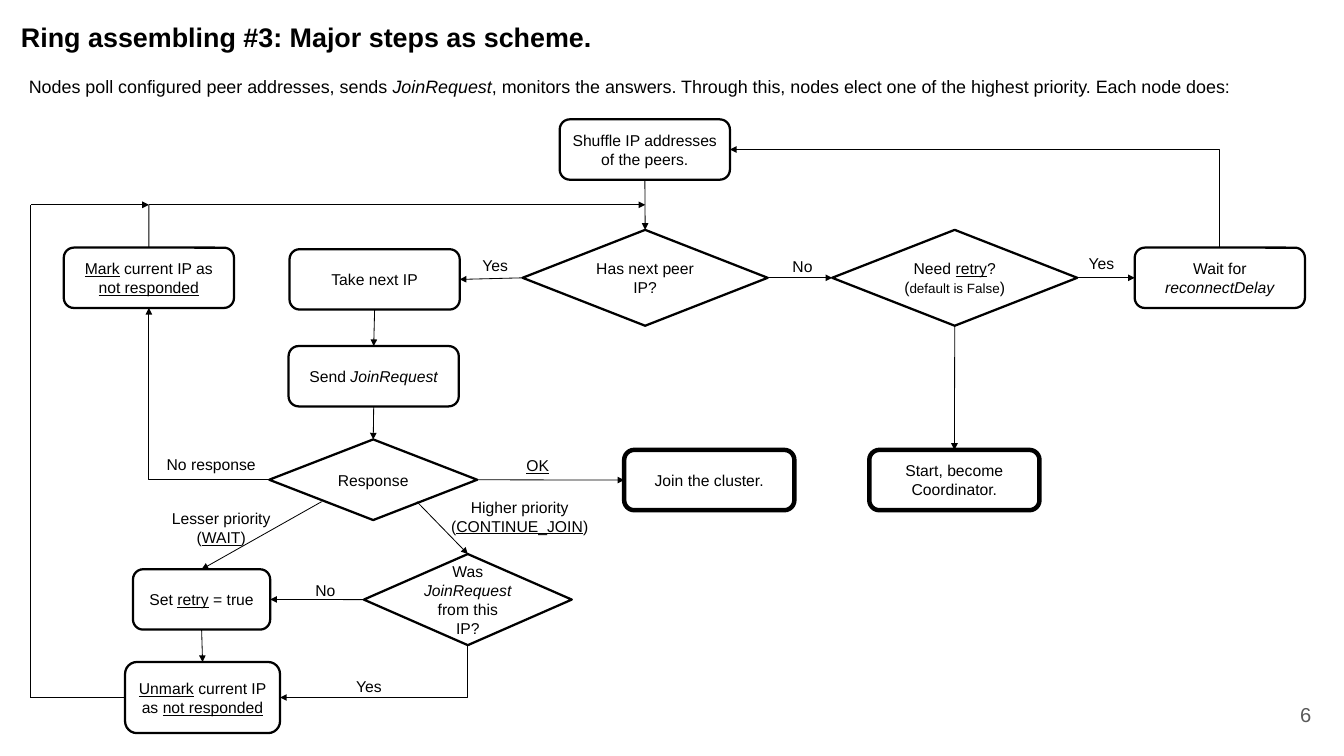
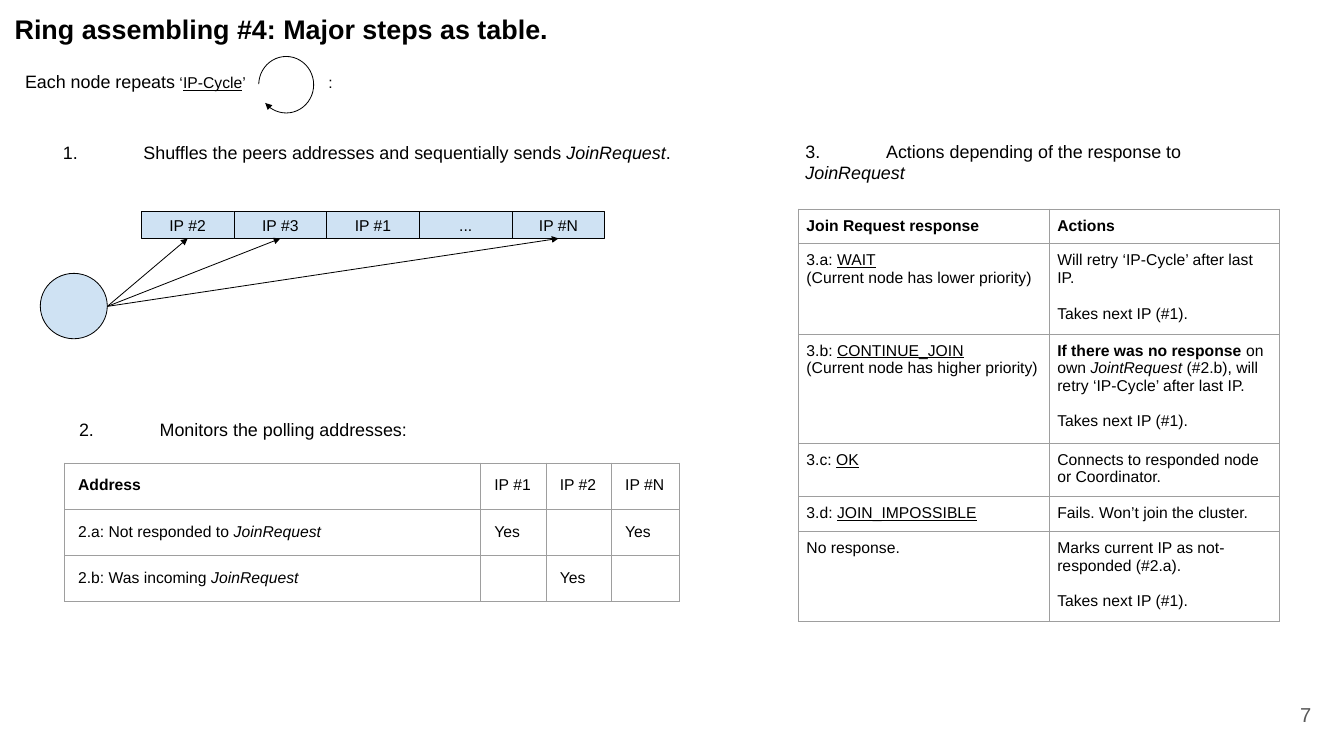
"""Build two slides that explain how the ring is assembled."""
from dataclasses import dataclass
from typing import Iterator, Optional, Union

from pptx import Presentation
from pptx.dml.color import RGBColor
from pptx.enum.shapes import MSO_CONNECTOR as Wire, MSO_SHAPE as Form
from pptx.enum.text import MSO_ANCHOR as Anchor, PP_ALIGN as Align
from pptx.oxml import parse_xml
from pptx.oxml.ns import nsdecls, qn
from pptx.oxml.xmlchemy import OxmlElement
from pptx.util import Cm, Pt

FONT, BLACK, GREY, BORDER, PALE = "Arial", "000000", "595959", "9E9E9E", "CFE2F3"
TOP, LEFT, BOTTOM, RIGHT = range(4)
THIN = 0.75
MARKS = {"*": "italic", "~": "underline", "^": "bold", "`": "small"}
End = Union[tuple[str, int], tuple[float, float]]


@dataclass
class Step:
    name: str
    text: str
    left: float
    top: float
    width: float = 5.36
    height: float = 1.9
    form: Form = Form.ROUNDED_RECTANGLE
    weight: float = 2
    fill: Optional[str] = None


@dataclass
class Label:
    text: str
    left: float
    top: float
    width: float = 1.65
    height: float = 0.86
    align: Align = Align.LEFT


@dataclass
class Link:
    begin: End
    end: End
    arrow: str = "tailEnd"
    bent: bool = False


@dataclass
class Grid:
    left: float
    top: float
    widths: list[float]
    heights: list[float]
    inset: float
    rows: list[list[str]]


def color(code: str) -> RGBColor:
    return RGBColor.from_string(code)


def split_spans(line: str) -> Iterator[tuple[str, set[str]]]:
    active: set[str] = set()
    text = ""
    for char in line:
        if char in MARKS:
            if text:
                yield text, set(active)
            text = ""
            active ^= {MARKS[char]}
        else:
            text += char
    if text:
        yield text, active


def set_tab(para, position: float) -> None:
    stops = OxmlElement("a:tabLst")
    stop = OxmlElement("a:tab")
    stop.set("pos", str(Cm(position)))
    stop.set("algn", "l")
    stops.append(stop)
    para._p.get_or_add_pPr().append(stops)


def write(frame, markup: str, size: float = 14, small: float = 12, ink: str = BLACK,
          align: Align = Align.LEFT, bold: bool = False, tab: float = 0) -> None:
    para = None
    for block in markup.split("\n\n"):
        for index, line in enumerate(block.split("\n")):
            spaced = para is not None and index == 0
            para = frame.paragraphs[0] if para is None else frame.add_paragraph()
            para.alignment = align
            if spaced:
                para.space_before = Pt(16)
            if tab:
                set_tab(para, tab)
            for text, marks in split_spans(line):
                span = para.add_run()
                span.text = text
                font = span.font
                font.name, font.color.rgb = FONT, color(ink)
                font.size = Pt(small if "small" in marks else size)
                font.bold = bold or "bold" in marks
                font.italic = "italic" in marks
                font.underline = "underline" in marks


def set_frame(frame, inset: Optional[float] = None, anchor: Anchor = Anchor.TOP) -> None:
    frame.word_wrap = True
    frame.vertical_anchor = anchor
    across, down = (0.25, 0.13) if inset is None else (inset, inset)
    frame.margin_left = frame.margin_right = Cm(across)
    frame.margin_top = frame.margin_bottom = Cm(down)


def add_text(page, markup: str, left: float, top: float, width: float, height: float,
             inset: Optional[float] = None, anchor: Anchor = Anchor.TOP, **style) -> None:
    box = page.shapes.add_textbox(Cm(left), Cm(top), Cm(width), Cm(height))
    set_frame(box.text_frame, inset, anchor)
    write(box.text_frame, markup, **style)


def add_page(deck, title: str, number: str, left: float, top: float, width: float):
    page = deck.slides.add_slide(deck.slide_layouts[5])
    box = page.shapes.title
    box.left, box.top, box.width, box.height = Cm(left), Cm(top), Cm(width), Cm(1.83)
    set_frame(box.text_frame, 0.46)
    write(box.text_frame, title, size=24, bold=True)
    add_text(page, number, 39.22, 21.59, 2.54, 1.83, inset=0.46, anchor=Anchor.MIDDLE,
             size=18, ink=GREY, align=Align.RIGHT)
    return page


def set_line(line, weight: float, arrow: str = "") -> None:
    line.color.rgb = color(BLACK)
    line.width = Pt(weight)
    if arrow:
        tip = OxmlElement(f"a:{arrow}")
        tip.set("type", "triangle")
        line._get_or_add_ln().append(tip)


def add_step(page, step: Step, arrow: str = ""):
    shape = page.shapes.add_shape(step.form, Cm(step.left), Cm(step.top),
                                  Cm(step.width), Cm(step.height))
    shape.shadow.inherit = False
    if step.fill:
        shape.fill.solid()
        shape.fill.fore_color.rgb = color(step.fill)
    else:
        shape.fill.background()
    set_line(shape.line, step.weight, arrow)
    set_frame(shape.text_frame, anchor=Anchor.MIDDLE)
    write(shape.text_frame, step.text, align=Align.CENTER)
    return shape


def add_link(page, link: Link, shapes: dict) -> None:
    points = [(0, 0) if isinstance(end[0], str) else end for end in (link.begin, link.end)]
    wire = page.shapes.add_connector(Wire.ELBOW if link.bent else Wire.STRAIGHT,
                                     *(Cm(value) for point in points for value in point))
    for end, connect in ((link.begin, wire.begin_connect), (link.end, wire.end_connect)):
        if isinstance(end[0], str):
            connect(shapes[end[0]], end[1])
    properties = wire._element.spPr
    if link.bent:
        properties.find(qn("a:prstGeom")).set("prst", "bentConnector2")
    set_line(wire.line, THIN, link.arrow)
    properties.append(OxmlElement("a:effectLst"))


def add_diagram(page, steps: list[Step], links: list[Link]) -> None:
    shapes = {step.name: add_step(page, step) for step in steps}
    for link in links:
        add_link(page, link, shapes)


def set_borders(cell) -> None:
    properties = cell._tc.get_or_add_tcPr()
    for index, side in enumerate(("lnL", "lnR", "lnT", "lnB")):
        properties.insert(index, parse_xml(
            f'<a:{side} {nsdecls("a")} w="{Pt(THIN)}"><a:solidFill>'
            f'<a:srgbClr val="{BORDER}"/></a:solidFill></a:{side}>'))


def add_grid(page, grid: Grid) -> None:
    table = page.shapes.add_table(
        len(grid.heights), len(grid.widths), Cm(grid.left), Cm(grid.top),
        Cm(sum(grid.widths)), Cm(sum(grid.heights))).table
    table.first_row = table.horz_banding = False
    for column, width in zip(table.columns, grid.widths):
        column.width = Cm(width)
    for row, height, texts in zip(table.rows, grid.heights, grid.rows):
        row.height = Cm(height)
        for cell, text in zip(row.cells, texts):
            cell.fill.background()
            set_borders(cell)
            if text:
                cell.margin_left = cell.margin_right = Cm(grid.inset)
                cell.margin_top = cell.margin_bottom = Cm(grid.inset)
                write(cell.text_frame, text)


def build_scheme(deck) -> None:
    page = add_page(deck, "Ring assembling #3: Major steps as scheme.", "6", 0.2, 0.18, 39.45)
    add_text(page, "Nodes poll configured peer addresses, sends *JoinRequest*, monitors the answers. "
             "Through this, nodes elect one of the highest priority. Each node does:",
             0.66, 2.24, 39.52, 0.94, size=16)
    steps = [
        Step("shuffle", "Shuffle IP addresses of the peers.", 17.63, 3.76),
        Step("has next", "Has next peer IP?", 16.46, 7.24, 7.72, 3.02, Form.DIAMOND),
        Step("need retry", "Need ~retry~?\n(`default is False`)", 26.21, 7.24, 7.72, 3.02, Form.DIAMOND),
        Step("wait", "Wait for *reconnectDelay*", 35.74, 7.8),
        Step("mark", "~Mark~ current IP as ~not responded~", 2.01, 7.8),
        Step("take", "Take next IP", 9.12, 7.85),
        Step("send", "Send *JoinRequest*", 9.09, 10.9),
        Step("response", "Response", 8.48, 13.84, 6.55, 2.54, Form.DIAMOND),
        Step("join", "Join the cluster.", 19.66, 14.17, weight=4),
        Step("start", "Start, become Coordinator.", 27.38, 14.17, weight=4),
        Step("set retry", "Set ~retry~ = true", 4.19, 17.93, 4.32),
        Step("was request", "Was *JoinRequest* from this IP?", 11.46, 17.45, 6.55, 2.87, Form.DIAMOND),
        Step("unmark", "~Unmark~ current IP as ~not responded~", 3.94, 20.85, 4.88, 2.24),
    ]
    merge, corner = (4.69, 6.45), (0.97, 21.97)
    links = [
        Link(("shuffle", BOTTOM), ("has next", TOP)),
        Link(("has next", LEFT), ("take", RIGHT)),
        Link(("has next", RIGHT), ("need retry", LEFT)),
        Link(("need retry", RIGHT), ("wait", LEFT)),
        Link(("need retry", BOTTOM), ("start", TOP)),
        Link(("shuffle", RIGHT), ("wait", TOP), "headEnd", bent=True),
        Link(("take", BOTTOM), ("send", TOP)),
        Link(("send", BOTTOM), ("response", TOP)),
        Link(("response", LEFT), ("mark", BOTTOM), bent=True),
        Link(("response", RIGHT), ("join", LEFT)),
        Link((10.13, 15.8), ("set retry", TOP)),
        Link((13.13, 15.8), ("was request", TOP)),
        Link(("was request", LEFT), ("set retry", RIGHT)),
        Link(("unmark", RIGHT), ("was request", BOTTOM), "headEnd", bent=True),
        Link(("set retry", BOTTOM), ("unmark", TOP)),
        Link(("mark", TOP), merge, ""),
        Link(merge, (20.32, 6.45)),
        Link(("unmark", LEFT), corner, ""),
        Link(corner, (0.97, 6.45), ""),
        Link((0.97, 6.45), merge),
    ]
    add_diagram(page, steps, links)
    for label in (
        Label("Yes", 14.94, 7.92), Label("No", 24.71, 7.95), Label("Yes", 34.04, 7.87),
        Label("No response", 5, 14.2, 3.45), Label("~OK~", 16.33, 14.22),
        Label("Lesser priority (~WAIT~)", 5.13, 15.9, 3.68, 1.45, Align.CENTER),
        Label("Higher priority (~CONTINUE_JOIN~)", 13.87, 15.54, 5, 1.45, Align.CENTER),
        Label("No", 9.68, 18.16), Label("Yes", 10.97, 21.18),
    ):
        add_text(page, label.text, label.left, label.top, label.width, label.height,
                 align=label.align)


def build_tables(deck) -> None:
    page = add_page(deck, "Ring assembling #4: Major steps as table.", "7", 0, -0.05, 24.03)
    add_text(page, "Each node repeats` ‘~IP-Cycle~’\t:`", 0.33, 1.9, 12.88, 1.5,
             inset=0.46, size=16, small=14, tab=9.55)
    cycle = add_step(page, Step("cycle", "", 8.15, 1.78, 1.73, 1.78, Form.ARC, THIN), "tailEnd")
    cycle.adjustments[0], cycle.adjustments[1] = 108.65, 83.4
    for text, left, top, width, height, inset in (
        ("1.\tShuffles the peers addresses and sequentially sends *JoinRequest*.",
         1.52, 4.11, 20.7, 1.8, 0.46),
        ("2.\tMonitors the polling addresses:", 2.03, 12.83, 19.33, 1.3, 0.46),
        ("3.\tActions depending of the response to *JoinRequest*", 25.12, 4.17, 13.34, 1.75, 0.25),
    ):
        add_text(page, text, left, top, width, height, inset=inset, size=16, tab=2.54)
    names = ["IP #2", "IP #3", "IP #1", "...", "IP #N"]
    peers = [Step(name, name, 4.45 + 2.92 * index, 6.65, 2.92, 0.86, Form.RECTANGLE, THIN, PALE)
             for index, name in enumerate(names)]
    node = Step("node", "", 1.27, 8.61, 2.11, 2.06, Form.OVAL, THIN, PALE)
    polled = [Link((3.38, 9.65), (name, BOTTOM)) for name in ("IP #2", "IP #3", "IP #N")]
    add_diagram(page, peers + [node], polled)
    add_grid(page, Grid(2.03, 14.58, [13.11, 2.06, 2.06, 2.13], [1.4] * 3, 0.43, [
        ["^Address^", "IP #1", "IP #2", "IP #N"],
        ["2.a: Not responded to *JoinRequest*", "Yes", "", "Yes"],
        ["2.b: Was incoming *JoinRequest*", "", "Yes", ""],
    ]))
    add_grid(page, Grid(25.15, 6.58, [7.9, 7.24], [1.07, 2.74, 3.28, 1.62, 1.07, 2.72], 0.25, [
        ["^Join Request response^", "^Actions^"],
        ["3.a: ~WAIT~\n(Current node has lower priority)",
         "Will retry ‘IP-Cycle’ after last IP.\n\nTakes next IP (#1)."],
        ["3.b: ~CONTINUE_JOIN~\n(Current node has higher priority)",
         "^If there was no response ^on own *JointRequest* (#2.b), will retry ‘IP-Cycle’ "
         "after last IP.\n\nTakes next IP (#1)."],
        ["3.c: ~OK~", "Connects to responded node or Coordinator."],
        ["3.d: ~JOIN_IMPOSSIBLE~", "Fails. Won’t join the cluster."],
        ["No response.", "Marks current IP as not-responded (#2.a).\n\nTakes next IP (#1)."],
    ]))


def main() -> None:
    deck = Presentation()
    deck.slide_width, deck.slide_height = Cm(42.33), Cm(23.81)
    build_scheme(deck)
    build_tables(deck)
    deck.save("out.pptx")


main()
